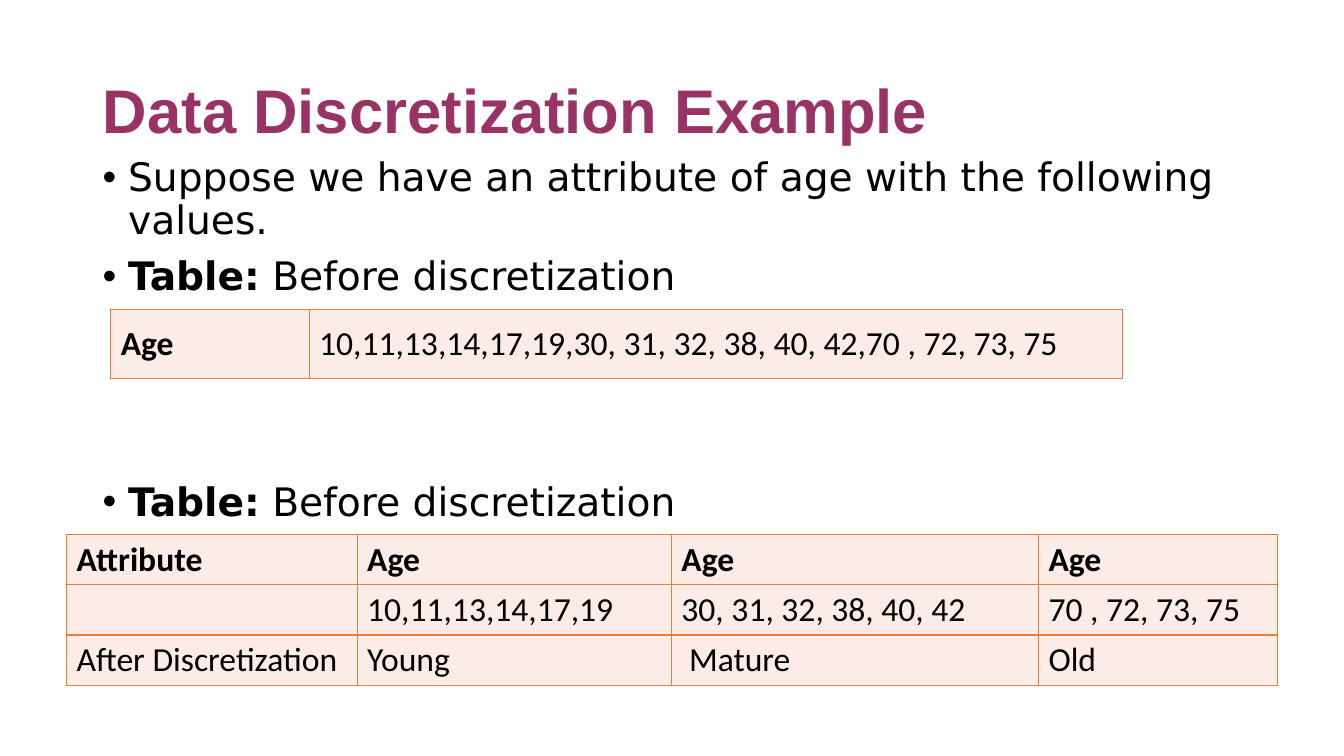
from pptx import Presentation
from pptx.dml.color import RGBColor
from pptx.enum.text import MSO_ANCHOR, MSO_AUTO_SIZE, PP_ALIGN
from pptx.oxml import parse_xml
from pptx.oxml.ns import nsdecls
from pptx.util import Cm, Pt

TITLE_COLOR = "993366"
TEXT_COLOR = "000000"
BORDER_COLOR = "ED7D31"
CELL_COLOR = "FCECE8"


def rgb(color):
    return RGBColor.from_string(color)


def format_font(font, name, size, color, bold=False):
    font.name = name
    font.size = Pt(size)
    font.color.rgb = rgb(color)
    font.bold = bold


def set_title(slide, text):
    title = slide.shapes.title
    title.left, title.top, title.width, title.height = Cm(2.34), Cm(1.02), Cm(29.21), Cm(3.68)
    frame = title.text_frame
    frame.text = text
    frame.auto_size = MSO_AUTO_SIZE.NONE
    frame.vertical_anchor = MSO_ANCHOR.MIDDLE
    paragraph = frame.paragraphs[0]
    paragraph.alignment = PP_ALIGN.LEFT
    paragraph.line_spacing = 0.9
    format_font(paragraph.runs[0].font, "Arial", 44, TITLE_COLOR, bold=True)


def add_bullet(paragraph):
    properties = paragraph._p.get_or_add_pPr()
    indent = Cm(0.64)
    properties.set("marL", str(indent))
    properties.set("indent", str(-indent))
    properties.append(parse_xml(f'<a:buFont {nsdecls("a")} typeface="Arial"/>'))
    properties.append(parse_xml(f'<a:buChar {nsdecls("a")} char="•"/>'))


def add_bullet_list(slide, items):
    """Add (bold lead, text, points before) items as one bulleted list."""
    box = slide.shapes.add_textbox(Cm(2.34), Cm(3.86), Cm(29.21), Cm(12.09))
    frame = box.text_frame
    frame.word_wrap = True
    for index, (lead, text, space_before) in enumerate(items):
        paragraph = frame.add_paragraph() if index else frame.paragraphs[0]
        add_bullet(paragraph)
        paragraph.line_spacing = 0.9
        paragraph.space_before = Pt(space_before)
        for part, bold in ((lead, True), (text, False)):
            if part:
                run = paragraph.add_run()
                run.text = part
                format_font(run.font, "DejaVu Sans", 28, TEXT_COLOR, bold)


def add_borders(cell):
    properties = cell._tc.get_or_add_tcPr()
    for side in "LRTB":
        properties.append(parse_xml(
            f'<a:ln{side} {nsdecls("a")} w="{Pt(1)}"><a:solidFill>'
            f'<a:srgbClr val="{BORDER_COLOR}"/></a:solidFill></a:ln{side}>'))


def fill_cell(cell, text, bold):
    add_borders(cell)
    cell.fill.solid()
    cell.fill.fore_color.rgb = rgb(CELL_COLOR)
    cell.vertical_anchor = MSO_ANCHOR.MIDDLE
    cell.text = text
    format_font(cell.text_frame.paragraphs[0].font, "Calibri", 24, TEXT_COLOR, bold)
    for run in cell.text_frame.paragraphs[0].runs:
        format_font(run.font, "Calibri", 24, TEXT_COLOR, bold)


def add_data_table(slide, left, top, widths, row_height, rows, is_bold):
    """Add a table; is_bold(row, column) tells which cells are headings."""
    table = slide.shapes.add_table(
        len(rows), len(widths), Cm(left), Cm(top),
        Cm(sum(widths)), Cm(row_height * len(rows))).table
    table.first_row = table.horz_banding = False
    for column, width in zip(table.columns, widths):
        column.width = Cm(width)
    for row_index, values in enumerate(rows):
        table.rows[row_index].height = Cm(row_height)
        for column_index, text in enumerate(values):
            fill_cell(table.cell(row_index, column_index), text,
                      is_bold(row_index, column_index))


def main():
    presentation = Presentation()
    presentation.slide_width = Cm(33.87)
    presentation.slide_height = Cm(19.05)
    slide = presentation.slides.add_slide(presentation.slide_layouts[5])

    set_title(slide, "Data Discretization Example")
    add_bullet_list(slide, [
        ("", "Suppose we have an attribute of age with the following values.", 0),
        ("Table:", " Before discretization", 10),
        ("Table:", " Before discretization", 131),
    ])
    add_data_table(
        slide, 2.79, 7.8, [5, 20.5], 1.73,
        [["Age", "10,11,13,14,17,19,30, 31, 32, 38, 40, 42,70 , 72, 73, 75"]],
        lambda row, column: column == 0)
    add_data_table(
        slide, 1.68, 13.46, [7.32, 7.92, 9.25, 6.02], 1.27,
        [["Attribute", "Age", "Age", "Age"],
         ["", "10,11,13,14,17,19", "30, 31, 32, 38, 40, 42", "70 , 72, 73, 75"],
         ["After Discretization", "Young", " Mature", "Old"]],
        lambda row, column: row == 0)
    presentation.save("out.pptx")


if __name__ == "__main__":
    main()
